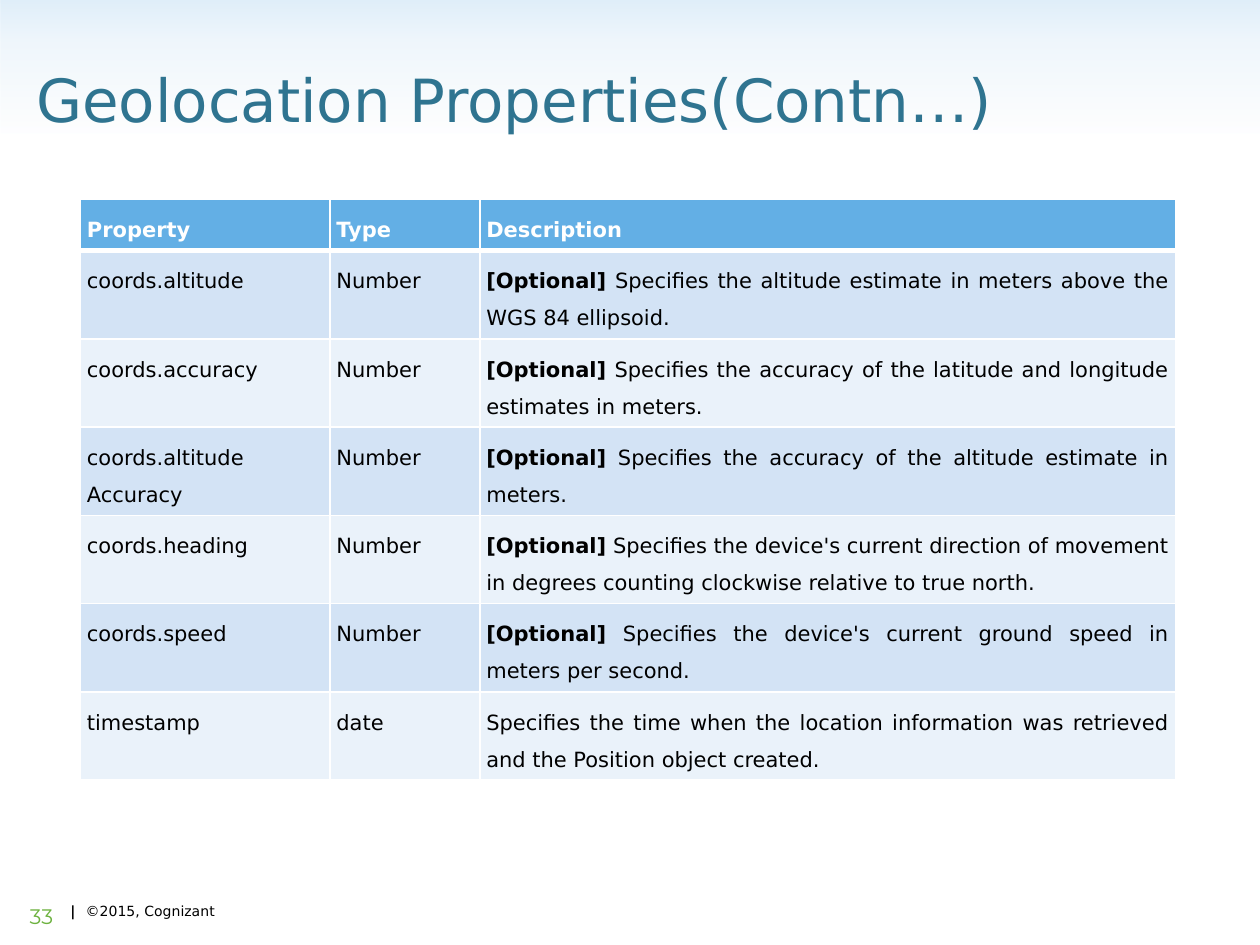
import pptx
import pptx.dml.color
import pptx.enum.shapes
import pptx.enum.text
import pptx.oxml
import pptx.oxml.ns
import pptx.util
from pptx.util import Inches

NAMESPACE = pptx.oxml.ns.nsdecls("a")
FONT = "DejaVu Sans"


def color(value):
    return pptx.dml.color.RGBColor.from_string(value)


def add_text(box, text, size, font_name, font_color):
    left, top, width, height = (Inches(value) for value in box)
    frame = slide.shapes.add_textbox(left, top, width, height).text_frame
    frame.word_wrap = True
    paragraph = frame.paragraphs[0]
    paragraph.text = text
    paragraph.font.size = pptx.util.Pt(size)
    paragraph.font.name = font_name
    paragraph.font.color.rgb = color(font_color)
    return frame


presentation = pptx.Presentation()
presentation.slide_width = Inches(10)
presentation.slide_height = Inches(7.5)
slide = presentation.slides.add_slide(presentation.slide_layouts[6])

# Header band fading from light blue to white
band = slide.shapes.add_shape(
    pptx.enum.shapes.MSO_SHAPE.RECTANGLE, 0, 0, Inches(10), Inches(1.27))
band.rotation = 180
band.shadow.inherit = False
band.line.fill.background()
stops = "".join(
    f'<a:gs pos="{position * 1000}"><a:srgbClr val="{value}">'
    '<a:alpha val="50000"/></a:srgbClr></a:gs>'
    for position, value in [(0, "C1DFF5"), (25, "E0EFFA"), (84, "FFFFFF")])
gradient = pptx.oxml.parse_xml(
    f'<a:gradFill {NAMESPACE} rotWithShape="1"><a:gsLst>{stops}</a:gsLst>'
    '<a:lin ang="16200000" scaled="0"/></a:gradFill>')
band.element.spPr.find(pptx.oxml.ns.qn("a:prstGeom")).addnext(gradient)

# Footer: copyright line and page number
footer = add_text((0.2, 6.99, 5.67, 0.25), "", 8, FONT, "000000")
footer.margin_left = Inches(0.36)
paragraph = footer.paragraphs[0]
paragraph.line_spacing = 1.9
paragraph.add_run().text = "|\t"
paragraph.runs[0].font.bold = True
paragraph.add_run().text = "©2015, Cognizant"
tab_stops = pptx.oxml.parse_xml(
    f'<a:tabLst {NAMESPACE}><a:tab pos="{Inches(0.12)}" algn="l"/></a:tabLst>')
paragraph.font  # creates the default run properties that follow the tabs
paragraph._p.pPr.find(pptx.oxml.ns.qn("a:defRPr")).addprevious(tab_stops)

number = add_text((0.02, 7.1, 0.5, 0.4), "33", 12, "Montserrat", "6DB23F")
number.paragraphs[0].alignment = pptx.enum.text.PP_ALIGN.RIGHT
number.paragraphs[0].line_spacing = 1.1

# Title
add_text((0.19, 0.45, 8.25, 1.17), "Geolocation Properties(Contn…)", 34, FONT, "2F7490")

# Property table
OPTIONAL = "[Optional]"
rows = [
    ("Property", "Type", "Description"),
    ("coords.altitude", "Number",
     OPTIONAL + " Specifies the altitude estimate in meters above the WGS 84 ellipsoid."),
    ("coords.accuracy", "Number",
     OPTIONAL + " Specifies the accuracy of the latitude and longitude estimates in meters."),
    ("coords.altitude\nAccuracy", "Number",
     OPTIONAL + " Specifies the accuracy of the altitude estimate in meters."),
    ("coords.heading", "Number",
     OPTIONAL + " Specifies the device's current direction of movement in degrees "
     "counting clockwise relative to true north."),
    ("coords.speed", "Number",
     OPTIONAL + " Specifies the device's current ground speed in meters per second."),
    ("timestamp", "date",
     "Specifies the time when the location information was retrieved "
     "and the Position object created."),
]
table = slide.shapes.add_table(
    len(rows), 3, Inches(0.64), Inches(1.58), Inches(8.69), Inches(4.63)).table
for column, width in zip(table.columns, (1.98, 1.19, 5.52)):
    column.width = Inches(width)

for row_index, texts in enumerate(rows):
    header = row_index == 0
    table.rows[row_index].height = Inches(0.41 if header else 0.7)
    fill = "63AFE5" if header else ("EAF2FA", "D3E3F5")[row_index % 2]
    for column_index, text in enumerate(texts):
        cell = table.cell(row_index, column_index)
        cell.margin_left = cell.margin_right = Inches(0.05)
        cell.margin_top = cell.margin_bottom = Inches(0.05)

        # White borders, heavier between the header and the body
        heavy_side = {0: "B", 1: "T"}.get(row_index)
        for side in "LRTB":
            line_width = pptx.util.Pt(3 if side == heavy_side else 1)
            cell._tc.get_or_add_tcPr().append(pptx.oxml.parse_xml(
                f'<a:ln{side} {NAMESPACE} w="{line_width}"><a:solidFill>'
                f'<a:srgbClr val="FFFFFF"/></a:solidFill></a:ln{side}>'))
        cell.fill.solid()
        cell.fill.fore_color.rgb = color(fill)

        # Cell text, with the optional marker in bold
        cell.text = text
        for paragraph in cell.text_frame.paragraphs:
            paragraph.line_spacing = 1.5
            if column_index == 2 and not header:
                paragraph.alignment = pptx.enum.text.PP_ALIGN.JUSTIFY
            if text.startswith(OPTIONAL):
                paragraph.runs[0].text = OPTIONAL
                paragraph.add_run().text = text[len(OPTIONAL):]
            for run in paragraph.runs:
                run.font.size = pptx.util.Pt(12)
                run.font.name = FONT
                run.font.bold = header or run.text == OPTIONAL
                run.font.color.rgb = color("FFFFFF" if header else "000000")

presentation.save("out.pptx")
